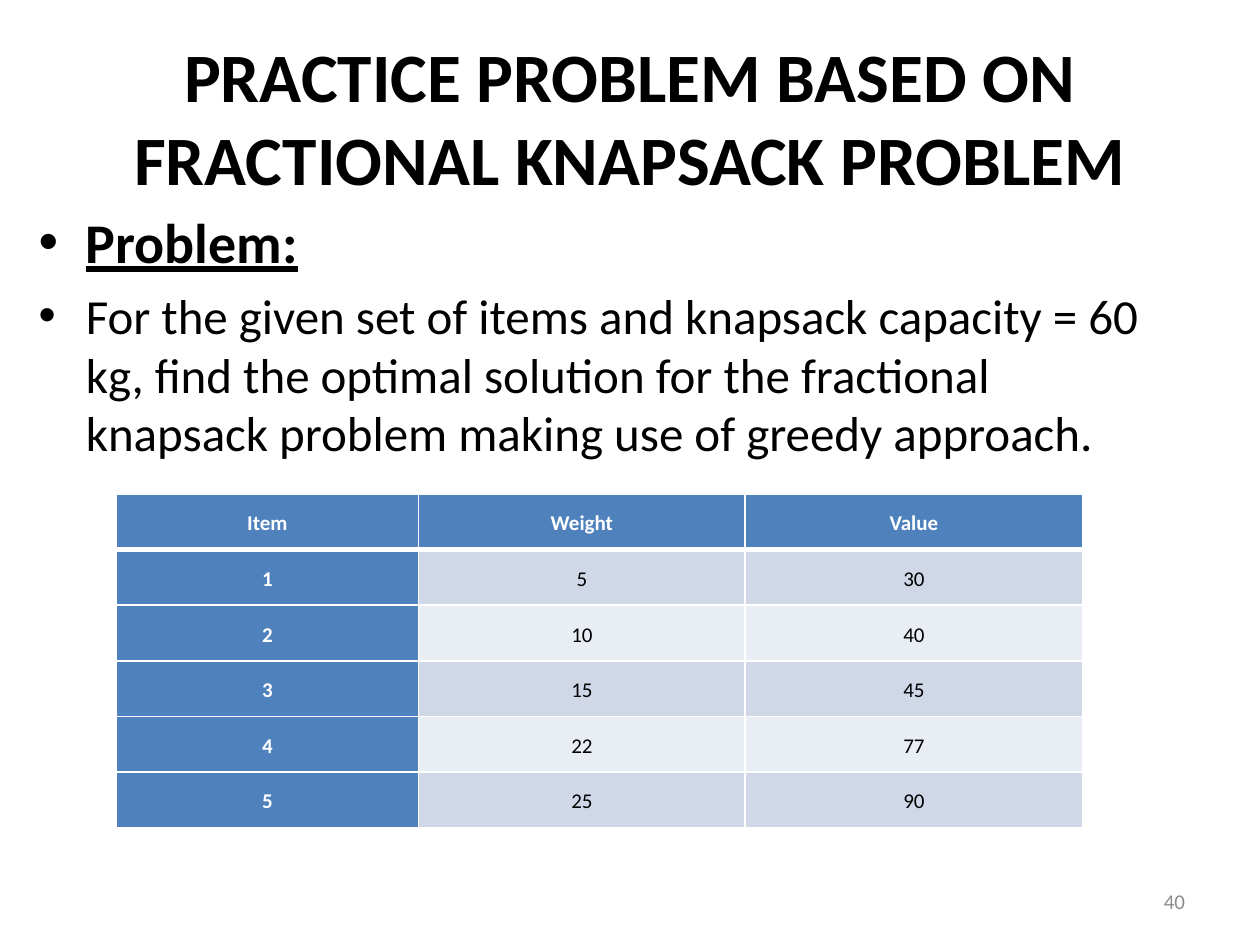
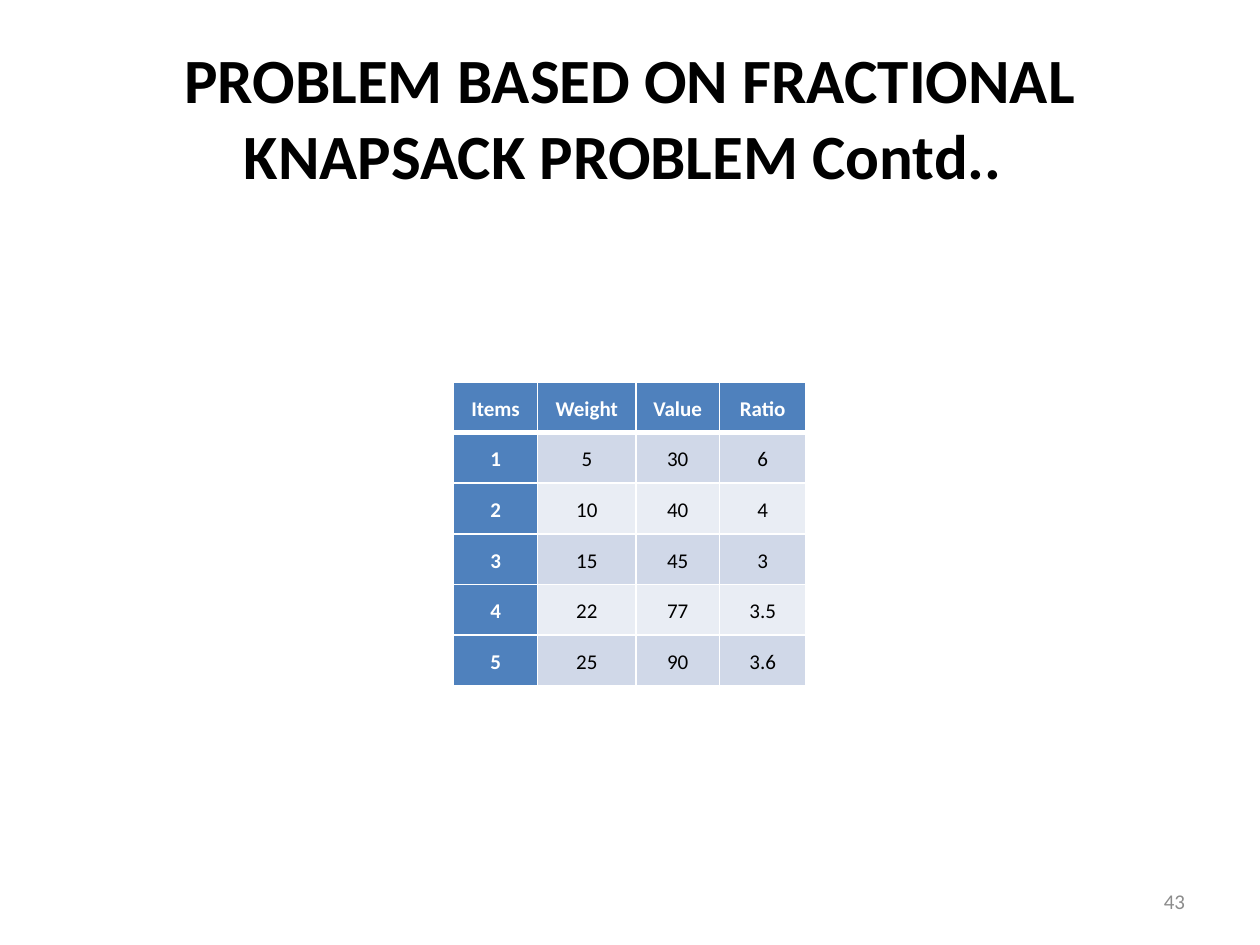
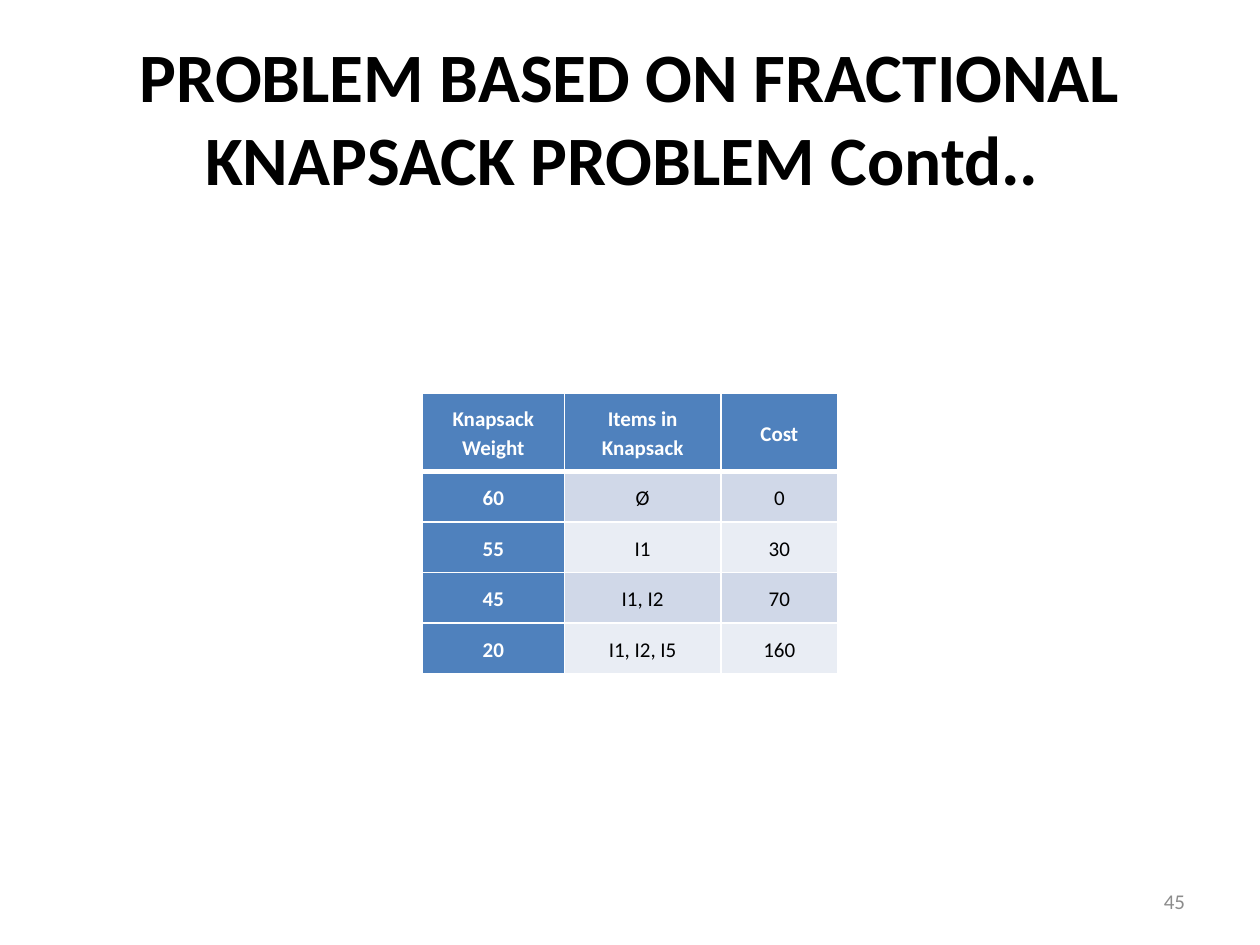
import pptx
import pptx.dml.color
import pptx.enum.text
import pptx.oxml
import pptx.oxml.ns
import pptx.util
from lxml import etree

Cm = pptx.util.Cm
Pt = pptx.util.Pt
ALIGN = pptx.enum.text.PP_ALIGN
ANCHOR = pptx.enum.text.MSO_ANCHOR

# Shared look
FONT = "Calibri"
COLORS = {
    "text": "000000",
    "number": "8C8C8C",
    "header": "4F81BD",
    "header_text": "FFFFFF",
    "odd_row": "D0D8E8",
    "even_row": "E9EDF4",
    "border": "FFFFFF",
}
TITLE_BOX = (1.27, 0.76, 22.86, 3.18)
BODY_BOX = (0.53, 4.06, 22.86, 12.57)
NUMBER_BOX = (18.21, 17.65, 5.93, 1.02)
ROW_HEIGHT = 1.02
CONTINUED_TITLE = "PROBLEM BASED ON FRACTIONAL KNAPSACK PROBLEM Contd.. "

# Content of the tables
ITEMS = [
    ("1", "5", "30"),
    ("2", "10", "40"),
    ("3", "15", "45"),
    ("4", "22", "77"),
    ("5", "25", "90"),
]
RATIOS = ["6", "4", "3", "3.5", "3.6"]
STEPS = [
    ("60", "Ø", "0"),
    ("55", "I1", "30"),
    ("45", "I1, I2", "70"),
    ("20", "I1, I2, I5", "160"),
]


def rgb(color):
    return pptx.dml.color.RGBColor.from_string(COLORS[color])


def format_runs(paragraph, size, color="text", bold=False, underline=False):
    for run in paragraph.runs:
        run.font.name = FONT
        run.font.size = Pt(size)
        run.font.bold = bold
        run.font.underline = underline
        run.font.color.rgb = rgb(color)


def add_text_frame(slide, box, anchor):
    frame = slide.shapes.add_textbox(*map(Cm, box)).text_frame
    frame.word_wrap = True
    frame.vertical_anchor = anchor
    return frame


def add_line(slide, box, text, align, size, color="text", bold=False):
    frame = add_text_frame(slide, box, ANCHOR.MIDDLE)
    frame.text = text
    paragraph = frame.paragraphs[0]
    paragraph.alignment = align
    format_runs(paragraph, size, color, bold)


def add_bullet(paragraph, text, size, bold=False, underline=False):
    properties = paragraph._p.get_or_add_pPr()
    properties.set("marL", str(Cm(0.95)))
    properties.set("indent", str(-Cm(0.95)))
    etree.SubElement(properties, pptx.oxml.ns.qn("a:buFont"), typeface="Arial")
    etree.SubElement(properties, pptx.oxml.ns.qn("a:buChar"), char="•")
    paragraph.text = text
    format_runs(paragraph, size, bold=bold, underline=underline)


def add_problem(slide, statement):
    frame = add_text_frame(slide, BODY_BOX, ANCHOR.TOP)
    add_bullet(frame.paragraphs[0], "Problem:", 32, bold=True, underline=True)
    question = frame.add_paragraph()
    add_bullet(question, statement, 28)
    question.space_before = Pt(6)


def set_borders(cell, widths):
    properties = cell._tc.get_or_add_tcPr()
    for side, width in zip("LRTB", widths):
        properties.append(pptx.oxml.parse_xml(
            f'<a:ln{side} {pptx.oxml.ns.nsdecls("a")} w="{Pt(width)}"><a:solidFill>'
            f'<a:srgbClr val="{COLORS["border"]}"/></a:solidFill></a:ln{side}>'))


def fill_cell(cell, text, row, column):
    is_header = row == 0 or column == 0
    band = "odd_row" if row % 2 else "even_row"
    # The rule under the header row is thicker
    set_borders(cell, (1, 1, 3 if row == 1 else 1, 3 if row == 0 else 1))
    cell.fill.solid()
    cell.fill.fore_color.rgb = rgb("header" if is_header else band)
    cell.vertical_anchor = ANCHOR.MIDDLE
    cell.margin_left = cell.margin_right = Cm(0.25)
    cell.margin_top = cell.margin_bottom = Cm(0.2)
    cell.text = text
    paragraph = cell.text_frame.paragraphs[0]
    paragraph.alignment = ALIGN.CENTER
    paragraph.line_spacing = 1.15
    format_runs(paragraph, 12, "header_text" if is_header else "text", is_header)


def add_grid(slide, left, top, widths, rows, header_height=ROW_HEIGHT, row_height=ROW_HEIGHT):
    heights = [header_height] + [row_height] * (len(rows) - 1)
    table = slide.shapes.add_table(
        len(rows), len(widths), Cm(left), Cm(top), Cm(sum(widths)), Cm(sum(heights))).table
    for column, width in zip(table.columns, widths):
        column.width = Cm(width)
    for table_row, height in zip(table.rows, heights):
        table_row.height = Cm(height)
    for row, texts in enumerate(rows):
        for column, text in enumerate(texts):
            fill_cell(table.cell(row, column), text, row, column)


def add_slide(deck, title, title_size, number):
    slide = deck.slides.add_slide(deck.slide_layouts[6])
    add_line(slide, TITLE_BOX, title, ALIGN.CENTER, title_size, bold=True)
    add_line(slide, NUMBER_BOX, number, ALIGN.RIGHT, 12, "number")
    return slide


def main():
    deck = pptx.Presentation()
    deck.slide_width = Cm(25.4)
    deck.slide_height = Cm(19.05)

    # Problem statement
    problem = add_slide(
        deck, "PRACTICE PROBLEM BASED ON FRACTIONAL KNAPSACK PROBLEM", 39.6, "40")
    add_problem(problem, "For the given set of items and knapsack capacity = 60 kg, "
                "find the optimal solution for the fractional knapsack problem "
                "making use of greedy approach.")
    add_grid(problem, 2.34, 9.96, (6.1, 6.58, 6.81),
             [("Item", "Weight", "Value")] + ITEMS, 1.12, 1.12)

    # Value to weight ratios
    ratios = add_slide(deck, CONTINUED_TITLE, 36, "43")
    add_grid(ratios, 9.14, 7.7, (1.7, 1.98, 1.68, 1.75),
             [("Items", "Weight", "Value", "Ratio")]
             + [item + (ratio,) for item, ratio in zip(ITEMS, RATIOS)])

    # Filling the knapsack
    filling = add_slide(deck, CONTINUED_TITLE, 39.6, "45")
    add_grid(filling, 8.51, 7.92, (2.87, 3.15, 2.36),
             [("Knapsack Weight", "Items in Knapsack", "Cost")] + STEPS, 1.58)

    deck.save("out.pptx")


if __name__ == "__main__":
    main()
